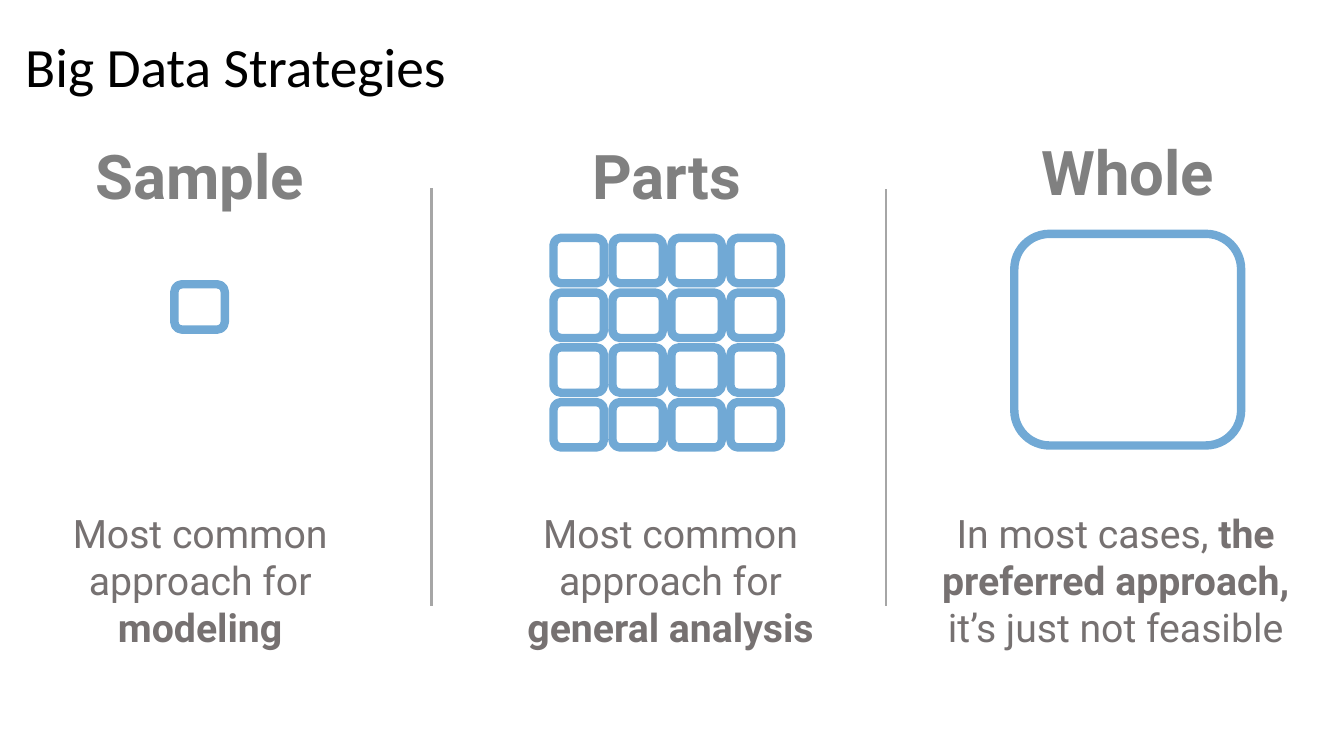
from lxml import etree
from pptx import Presentation
from pptx.dml.color import RGBColor
from pptx.enum.shapes import MSO_CONNECTOR, MSO_SHAPE
from pptx.enum.text import MSO_ANCHOR, MSO_AUTO_SIZE, PP_ALIGN
from pptx.oxml.ns import qn
from pptx.util import Inches, Pt

ROUNDED = MSO_SHAPE.ROUNDED_RECTANGLE
STRAIGHT = MSO_CONNECTOR.STRAIGHT
CENTER, LEFT = PP_ALIGN.CENTER, PP_ALIGN.LEFT
MIDDLE, TOP = MSO_ANCHOR.MIDDLE, MSO_ANCHOR.TOP
NO_FIT, GROW = MSO_AUTO_SIZE.NONE, MSO_AUTO_SIZE.SHAPE_TO_FIT_TEXT

COLORS = {
    "title": "000000",
    "heading": "808080",
    "body": "767171",
    "block": "71A9D5",
    "block_fill": "FFFFFF",
    "divider": "A6A6A6",
}
BLOCK_W, BLOCK_H = 0.5, 0.45
GRID_SIZE = 4
STEP_X, STEP_Y = 0.585, 0.543

# Strategy: heading box (left, top, width), summary box (left, width),
# summary runs (text, bold)
STRATEGIES = [
    ("Sample", (0.69, 1.37, 2.58), (0.57, 2.83),
     [("Most common approach for ", False), ("modeling", True)]),
    ("Parts", (5.49, 1.37, 2.25), (5.11, 3.08),
     [("Most common approach for ", False), ("general analysis", True)]),
    ("Whole", (10.06, 1.33, 2.25), (9.15, 3.83),
     [("In most cases, ", False), ("the preferred approach,", True),
      (" it’s just not feasible", False)]),
]


def color(name):
    return RGBColor.from_string(COLORS[name])


def style_run(run, font, size, color_name, bold=False):
    run.font.name = font
    run.font.size = Pt(size)
    run.font.bold = bold
    run.font.color.rgb = color(color_name)


def add_title(slide, text):
    title = slide.shapes.title
    title.left, title.top = Inches(0.15), Inches(0.32)
    title.width, title.height = Inches(12.89), Inches(0.73)
    frame = title.text_frame
    frame.text = text
    frame.auto_size = NO_FIT
    frame.vertical_anchor = MIDDLE
    paragraph = frame.paragraphs[0]
    paragraph.alignment = LEFT
    paragraph.line_spacing = 0.9
    style_run(paragraph.runs[0], "Calibri", 39.6, "title")


def add_label(slide, left, top, width, height, parts, size, color_name):
    box = slide.shapes.add_textbox(
        Inches(left), Inches(top), Inches(width), Inches(height))
    frame = box.text_frame
    frame.word_wrap = True
    frame.auto_size = GROW
    frame.vertical_anchor = TOP
    frame.margin_left = frame.margin_right = 0
    frame.margin_top = frame.margin_bottom = 0
    paragraph = frame.paragraphs[0]
    paragraph.alignment = CENTER
    for text, bold in parts:
        run = paragraph.add_run()
        run.text = text
        style_run(run, "Roboto", size, color_name, bold)


def add_block(slide, left, top, width=BLOCK_W, height=BLOCK_H):
    block = slide.shapes.add_shape(
        ROUNDED, Inches(left), Inches(top), Inches(width), Inches(height))
    block.shadow.inherit = False
    block.fill.solid()
    block.fill.fore_color.rgb = color("block_fill")
    block.line.color.rgb = color("block")
    block.line.width = Pt(6)


def add_block_grid(slide, left, top):
    for column in range(GRID_SIZE):
        for row in range(GRID_SIZE):
            add_block(slide, left + column * STEP_X, top + row * STEP_Y)


def add_divider(slide, x, top, bottom):
    divider = slide.shapes.add_connector(
        STRAIGHT, Inches(x), Inches(top), Inches(x), Inches(bottom))
    divider.line.color.rgb = color("divider")
    divider.line.width = Pt(1.5)
    etree.SubElement(divider._element.spPr, qn("a:effectLst"))


def main():
    deck = Presentation()
    deck.slide_width, deck.slide_height = Inches(13.33), Inches(7.5)
    slide = deck.slides.add_slide(deck.slide_layouts[5])
    add_title(slide, "Big Data Strategies")

    # Headings and summaries
    for name, (left, top, width), (text_left, text_width), summary in STRATEGIES:
        add_label(slide, left, top, width, 0.74, [(name, True)], 44, "heading")
        add_label(slide, text_left, 5.05, text_width, 1.41, summary, 28, "body")

    # Data blocks: one sample, all parts, the whole
    add_block(slide, 1.73, 2.82)
    add_block_grid(slide, 5.49, 2.36)
    add_block(slide, 10.06, 2.32, 2.25, 2.1)

    # Column dividers
    add_divider(slide, 4.28, 1.87, 6.01)
    add_divider(slide, 8.79, 1.88, 6.01)

    deck.save("out.pptx")


if __name__ == "__main__":
    main()
